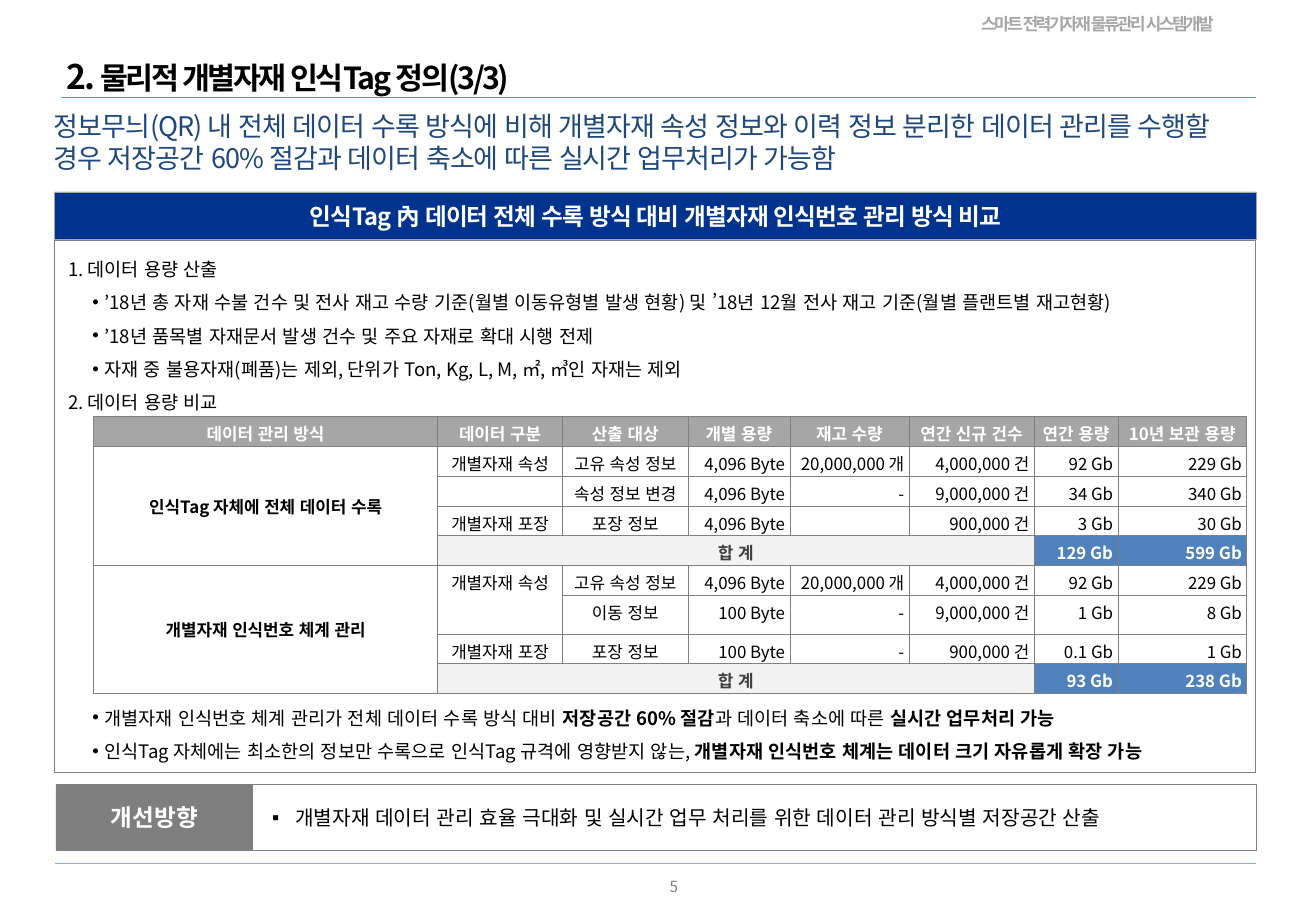
"""Build the slide comparing two ways of storing tag data."""
from dataclasses import dataclass

from lxml import etree
from pptx import Presentation
from pptx.dml.color import RGBColor
from pptx.enum.shapes import MSO_CONNECTOR, MSO_SHAPE
from pptx.enum.text import MSO_ANCHOR, MSO_AUTO_SIZE, PP_ALIGN
from pptx.oxml.ns import qn
from pptx.util import Inches, Pt

LEFT, CENTER, RIGHT = PP_ALIGN.LEFT, PP_ALIGN.CENTER, PP_ALIGN.RIGHT
TOP, MIDDLE = MSO_ANCHOR.TOP, MSO_ANCHOR.MIDDLE
RECT, STRAIGHT = MSO_SHAPE.RECTANGLE, MSO_CONNECTOR.STRAIGHT
NO_FIT = MSO_AUTO_SIZE.NONE


@dataclass(frozen=True)
class Theme:
    font: str = "Noto Sans CJK KR"
    label_font: str = "Arial"
    ink: str = "000000"
    paper: str = "FFFFFF"
    headline: str = "1F497D"
    banner: str = "00338D"
    border: str = "808080"
    label: str = "7F7F7F"
    muted: str = "A6A6A6"
    sum_fill: str = "F2F2F2"
    sum_ink: str = "404040"
    result: str = "4F81BD"
    title_rule: str = "558ED5"
    foot_rule: str = "8FAADC"
    number_size: float = 20
    title_size: float = 18
    headline_size: float = 16
    banner_size: float = 14
    action_size: float = 12
    body_size: float = 11
    small_size: float = 10
    page_size: float = 9.1


T = Theme()
HEADER = "스마트 전력기자재 물류관리 시스템개발"
TITLE = ("2. ", "물리적 개별자재 인식Tag 정의(3/3)")
HEADLINE = ("정보무늬(QR) 내 전체 데이터 수록 방식에 비해 개별자재 속성 정보와 이력 정보 분리한 데이터 관리를 "
            "수행할 경우 저장공간 60% 절감과 데이터 축소에 따른 실시간 업무처리가 가능함")
BANNER = "인식Tag 內 데이터 전체 수록 방식 대비 개별자재 인식번호 관리 방식 비교"
ACTION = ("개선방향", "개별자재 데이터 관리 효율 극대화 및 실시간 업무 처리를 위한 데이터 관리 방식별 저장공간 산출")
PAGE = "5"
# (bullet, space before in points, runs alternating regular and bold)
BODY = [
    ("", 0, ["1. 데이터 용량 산출"]),
    ("•", 0, ["’18년 총 자재 수불 건수 및 전사 재고 수량 기준(월별 이동유형별 발생 현황) 및 "
              "’18년 12월 전사 재고 기준(월별 플랜트별 재고현황)"]),
    ("•", 0, ["’18년 품목별 자재문서 발생 건수 및 주요 자재로 확대 시행 전제"]),
    ("•", 0, ["자재 중 불용자재(폐품)는 제외, 단위가 Ton, Kg, L, M, ㎡, ㎥인 자재는 제외"]),
    ("", 0, ["2. 데이터 용량 비교"]),
    ("•", 167, ["개별자재 인식번호 체계 관리가 전체 데이터 수록 방식 대비 ", "저장공간 60% 절감",
                "과 데이터 축소에 따른 ", "실시간 업무처리 가능"]),
    ("•", 0, ["인식Tag 자체에는 최소한의 정보만 수록으로 인식Tag 규격에 영향받지 않는, ",
              "개별자재 인식번호 체계는 데이터 크기 자유롭게 확장 가능"]),
]
ROWS = [
    ["데이터 관리 방식", "데이터 구분", "산출 대상", "개별 용량", "재고 수량", "연간 신규 건수", "연간 용량", "10년 보관 용량"],
    ["인식Tag 자체에 전체 데이터 수록", "개별자재 속성", "고유 속성 정보", "4,096 Byte", "20,000,000 개",
     "4,000,000 건", "92 Gb", "229 Gb"],
    ["", "", "속성 정보 변경", "4,096 Byte", "-", "9,000,000 건", "34 Gb", "340 Gb"],
    ["", "개별자재 포장", "포장 정보", "4,096 Byte", "", "900,000 건", "3 Gb", "30 Gb"],
    ["", "합 계", "", "", "", "", "129 Gb", "599 Gb"],
    ["개별자재 인식번호 체계 관리", "개별자재 속성", "고유 속성 정보", "4,096 Byte", "20,000,000 개",
     "4,000,000 건", "92 Gb", "229 Gb"],
    ["", "", "이동 정보", "100 Byte", "-", "9,000,000 건", "1 Gb", "8 Gb"],
    ["", "개별자재 포장", "포장 정보", "100 Byte", "-", "900,000 건", "0.1 Gb", "1 Gb"],
    ["", "합 계", "", "", "", "", "93 Gb", "238 Gb"],
]
COLS = [2.83, 1.03, 1.03, 0.84, 0.98, 1.03, 0.69, 1.06]
TABLE_H, TALL_ROW, TALL_H = 2.28, 6, 0.32
SUM_ROWS = (4, 8)
MERGES = [(1, 0, 4, 0), (5, 0, 8, 0), (5, 1, 6, 1)] + [(r, 1, r, 5) for r in SUM_ROWS]

W, H = 10.83, 7.5
X, FULL = 0.45, 9.89
LABEL_W = 1.62
ACTION_Y, ACTION_H = 6.46, 0.54


def rgb(value):
    return RGBColor.from_string(value)


def add_run(p, text, size, color=T.ink, bold=False, spacing=0, font=T.font):
    r = p.add_run()
    r.text = text
    r.font.size, r.font.bold, r.font.name = Pt(size), bold, font
    r.font.color.rgb = rgb(color)
    rPr = r.font._element
    rPr.set("lang", "ko-KR")
    rPr.set("kern", "0")
    etree.SubElement(rPr, qn("a:ea"), typeface=T.font)
    if spacing:
        rPr.set("spc", str(round(spacing * 100)))


def set_bullet(p, char, indent, hang):
    pPr = p._p.get_or_add_pPr()
    pPr.set("marL", str(Inches(indent)))
    pPr.set("indent", str(-Inches(hang)))
    etree.SubElement(pPr, qn("a:buFont"), typeface=T.label_font)
    etree.SubElement(pPr, qn("a:buChar"), char=char)


def set_frame(sp, insets=(0.1, 0.05, 0.1, 0.05), anchor=TOP, align=LEFT, wrap=True):
    tf = sp.text_frame
    tf.auto_size, tf.word_wrap, tf.vertical_anchor = NO_FIT, wrap, anchor
    tf.margin_left, tf.margin_top, tf.margin_right, tf.margin_bottom = map(Inches, insets)
    tf.paragraphs[0].alignment = align
    return tf


def add_text(slide, box, **frame):
    return set_frame(slide.shapes.add_textbox(*map(Inches, box)), **frame)


def add_rect(slide, box, fill, line=T.border, **frame):
    sp = slide.shapes.add_shape(RECT, *map(Inches, box))
    sp.shadow.inherit = False
    if fill:
        sp.fill.solid()
        sp.fill.fore_color.rgb = rgb(fill)
    else:
        sp.fill.background()
    sp.line.color.rgb, sp.line.width = rgb(line), Pt(0.25)
    return set_frame(sp, **frame)


def add_rule(slide, left, y, color, width):
    line = slide.shapes.add_connector(STRAIGHT, *map(Inches, (left, y, X + FULL, y)))
    line.line.color.rgb, line.line.width = rgb(color), Pt(width)
    etree.SubElement(line._element.spPr, qn("a:effectLst"))


def cell_style(row, col):
    """Return fill, ink, bold and alignment of one table cell."""
    if row == 0:
        return T.muted, T.paper, True, CENTER
    if col == 0:
        return None, T.ink, True, CENTER
    if row in SUM_ROWS:
        return (T.result, T.paper, True, RIGHT) if col > 5 else (T.sum_fill, T.sum_ink, True, CENTER)
    return None, T.ink, False, RIGHT if col > 2 else CENTER


def fill_cell(cell, text, row, col):
    fill, ink, bold, align = cell_style(row, col)
    cell.margin_left = cell.margin_right = cell.margin_top = Inches(0.04)
    cell.margin_bottom = Inches(0.04) if row and col == 0 else 0
    cell.vertical_anchor = MIDDLE if row and col == 0 else TOP
    tcPr = cell._tc.get_or_add_tcPr()
    for side in ("lnL", "lnR", "lnT", "lnB"):
        ln = etree.SubElement(tcPr, qn(f"a:{side}"), w=str(Pt(0.25)))
        etree.SubElement(etree.SubElement(ln, qn("a:solidFill")), qn("a:srgbClr"), val=T.border)
    if fill:
        cell.fill.solid()
        cell.fill.fore_color.rgb = rgb(fill)
    else:
        cell.fill.background()
    p = cell.text_frame.paragraphs[0]
    p.alignment = align
    if text:
        add_run(p, text, T.small_size, ink, bold)
    else:
        etree.SubElement(p._p, qn("a:endParaRPr"), sz=str(T.small_size * 100))


def add_comparison(slide):
    row_h = (TABLE_H - TALL_H) / (len(ROWS) - 1)
    box = map(Inches, (0.77, 3.43, sum(COLS), TABLE_H))
    table = slide.shapes.add_table(len(ROWS), len(COLS), *box).table
    table.first_row = table.horz_banding = False
    for column, width in zip(table.columns, COLS):
        column.width = Inches(width)
    for i, values in enumerate(ROWS):
        table.rows[i].height = Inches(TALL_H if i == TALL_ROW else row_h)
        for j, text in enumerate(values):
            fill_cell(table.cell(i, j), text, i, j)
    for r1, c1, r2, c2 in MERGES:
        table.cell(r1, c1).merge(table.cell(r2, c2))


def add_body(slide):
    tf = add_rect(slide, (X, 1.98, FULL - 0.01, 4.38), None, insets=(0.11, 0.05, 0.11, 0.05))
    for i, (bullet, before, runs) in enumerate(BODY):
        p = tf.add_paragraph() if i else tf.paragraphs[0]
        p.alignment, p.line_spacing, p.space_before = LEFT, 1.5, Pt(before)
        if bullet:
            set_bullet(p, bullet, 0.3, 0.1)
        for k, text in enumerate(runs):
            add_run(p, text, T.body_size, bold=k % 2 == 1)


def main():
    prs = Presentation()
    prs.slide_width, prs.slide_height = Inches(W), Inches(H)
    slide = prs.slides.add_slide(prs.slide_layouts[5])
    title = slide.shapes.title
    title.left, title.top, title.width, title.height = map(Inches, (X, 0.3, FULL, 0.45))
    p = set_frame(title).paragraphs[0]
    p.line_spacing = Pt(32)
    for text, size in zip(TITLE, (T.number_size, T.title_size)):
        add_run(p, text, size, bold=True, spacing=-1.5)

    tf = add_text(slide, (5.23, 7.14, 0.55, 0.31), insets=(0.08, 0.08, 0, 0), align=CENTER)
    add_run(tf.paragraphs[0], PAGE, T.page_size, T.border)
    tf = add_text(slide, (7.92, 0.07, 2.22, 0.24), insets=(0.04, 0.04, 0.04, 0.04), align=CENTER, wrap=False)
    add_run(tf.paragraphs[0], HEADER, T.small_size, T.muted, True, -1.4)
    add_rule(slide, 0.5, 0.8, T.title_rule, 0.25)
    add_rule(slide, X, 7.11, T.foot_rule, 0.75)

    p = add_text(slide, (0.44, 0.9, FULL, 0.59), insets=(0, 0, 0.2, 0)).paragraphs[0]
    p.line_spacing = 1.0
    add_run(p, HEADLINE, T.headline_size, T.headline, spacing=-0.5)

    label, action = ACTION
    box = (X + 0.01 + LABEL_W, ACTION_Y, FULL - LABEL_W - 0.01, ACTION_H)
    p = add_rect(slide, box, T.paper, insets=(0.16, 0.05, 0, 0.05), anchor=MIDDLE).paragraphs[0]
    set_bullet(p, "▪", 0.19, 0.19)
    add_run(p, action, T.action_size, font=T.label_font)
    box = (X + 0.01, ACTION_Y, LABEL_W, ACTION_H)
    tf = add_rect(slide, box, T.label, anchor=MIDDLE, align=CENTER)
    add_run(tf.paragraphs[0], label, T.banner_size, T.paper, True, font=T.label_font)

    tf = add_rect(slide, (X, 1.58, FULL, 0.39), T.banner, T.muted, anchor=MIDDLE, align=CENTER)
    add_run(tf.paragraphs[0], BANNER, T.banner_size, T.paper, True, -0.5)
    add_body(slide)
    add_comparison(slide)
    prs.save("out.pptx")


if __name__ == "__main__":
    main()
